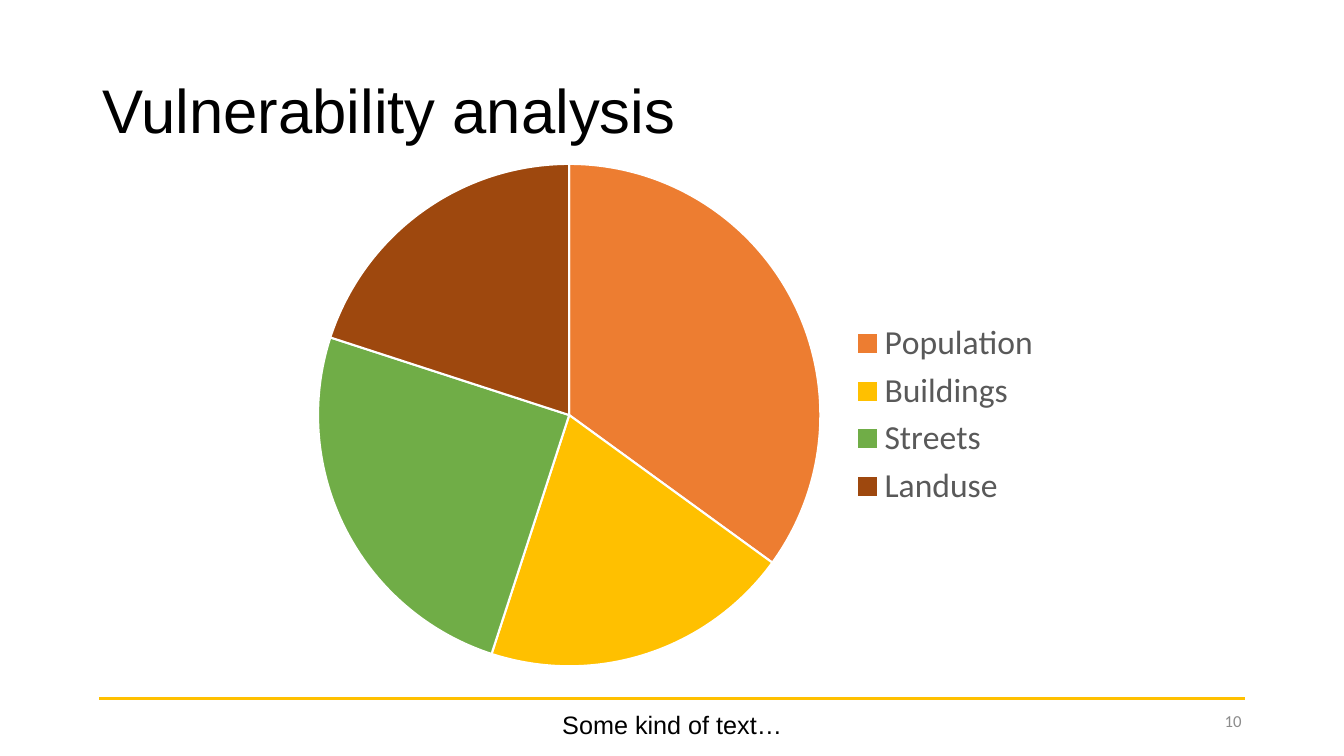
from lxml.etree import SubElement
from pptx import Presentation
from pptx.chart.data import CategoryChartData
from pptx.dml.color import RGBColor
from pptx.enum.chart import XL_CHART_TYPE, XL_LEGEND_POSITION
from pptx.enum.shapes import MSO_CONNECTOR
from pptx.enum.text import MSO_ANCHOR, MSO_AUTO_SIZE, PP_ALIGN
from pptx.oxml.ns import qn
from pptx.util import Cm, Pt


def rgb(value):
    return RGBColor.from_string(value)


def style_font(font, size, name, color):
    font.size, font.name, font.color.rgb = Pt(size), name, rgb(color)


def write(tf, text, size=18, font="Arial", color="000000",
          align=PP_ALIGN.LEFT, anchor=MSO_ANCHOR.TOP, spacing=1.0):
    tf.word_wrap = True
    tf.auto_size = MSO_AUTO_SIZE.NONE
    tf.vertical_anchor = anchor
    p = tf.paragraphs[0]
    p.alignment, p.line_spacing = align, spacing
    r = p.add_run()
    r.text = text
    style_font(r.font, size, font, color)


class SlideBuilder:
    ACCENT = "FFC000"
    CHART_FONT = "Calibri"

    def __init__(self, prs):
        self.s = prs.slides.add_slide(prs.slide_layouts[5])
        self.s.background.fill.solid()
        self.s.background.fill.fore_color.rgb = rgb("FFFFFF")

    def title(self, text, x, y, w, h):
        sp = self.s.shapes.title
        sp.left, sp.top, sp.width, sp.height = Cm(x), Cm(y), Cm(w), Cm(h)
        write(sp.text_frame, text, size=44, anchor=MSO_ANCHOR.MIDDLE, spacing=0.9)

    def text(self, text, x, y, w, h, **style):
        sp = self.s.shapes.add_textbox(Cm(x), Cm(y), Cm(w), Cm(h))
        write(sp.text_frame, text, **style)

    def rule(self, x1, x2, y):
        line = self.s.shapes.add_connector(
            MSO_CONNECTOR.STRAIGHT, Cm(x1), Cm(y), Cm(x2), Cm(y))
        line.line.color.rgb = rgb(self.ACCENT)
        line.line.width = Pt(1.5)
        SubElement(line.element.spPr, qn("a:effectLst"))

    def pie(self, slices, x, y, w, h):
        """Draw a pie from (category, value, colour) rows."""
        categories, values, colors = zip(*slices)
        data = CategoryChartData()
        data.categories = categories
        data.add_series("Series 1", values)
        chart = self.s.shapes.add_chart(
            XL_CHART_TYPE.PIE, Cm(x), Cm(y), Cm(w), Cm(h), data).chart
        chart.has_title = False
        style_font(chart.font, 10, self.CHART_FONT, "000000")
        chart.has_legend = True
        chart.legend.position = XL_LEGEND_POSITION.RIGHT
        chart.legend.include_in_layout = False
        style_font(chart.legend.font, 24, self.CHART_FONT, "595959")
        plot = chart.plots[0]
        plot.vary_by_categories = True
        for i, color in enumerate(colors):
            fmt = plot.series[0].points[i].format
            fmt.fill.solid()
            fmt.fill.fore_color.rgb = rgb(color)
            fmt.line.color.rgb = rgb("FFFFFF")
            fmt.line.width = Pt(1.5)


def main():
    prs = Presentation()
    prs.slide_width, prs.slide_height = Cm(33.87), Cm(19.05)
    slide = SlideBuilder(prs)
    slide.title("Vulnerability analysis", 2.33, 1.01, 29.21, 3.68)
    slide.pie([("Population", 35, "ED7D31"), ("Buildings", 20, "FFC000"),
               ("Streets", 25, "70AD47"), ("Landuse", 20, "9E480E")],
              7.37, 3.78, 19.15, 13.36)
    slide.rule(2.5, 31.37, 17.6)
    slide.text("Some kind of text…", 6.73, 17.75, 20.42, 1.03, align=PP_ALIGN.CENTER)
    slide.text("10", 23.92, 17.65, 7.62, 1.01, size=12, font="Calibri",
               color="8C8C8C", align=PP_ALIGN.RIGHT, anchor=MSO_ANCHOR.MIDDLE)
    prs.save("out.pptx")


if __name__ == "__main__":
    main()
